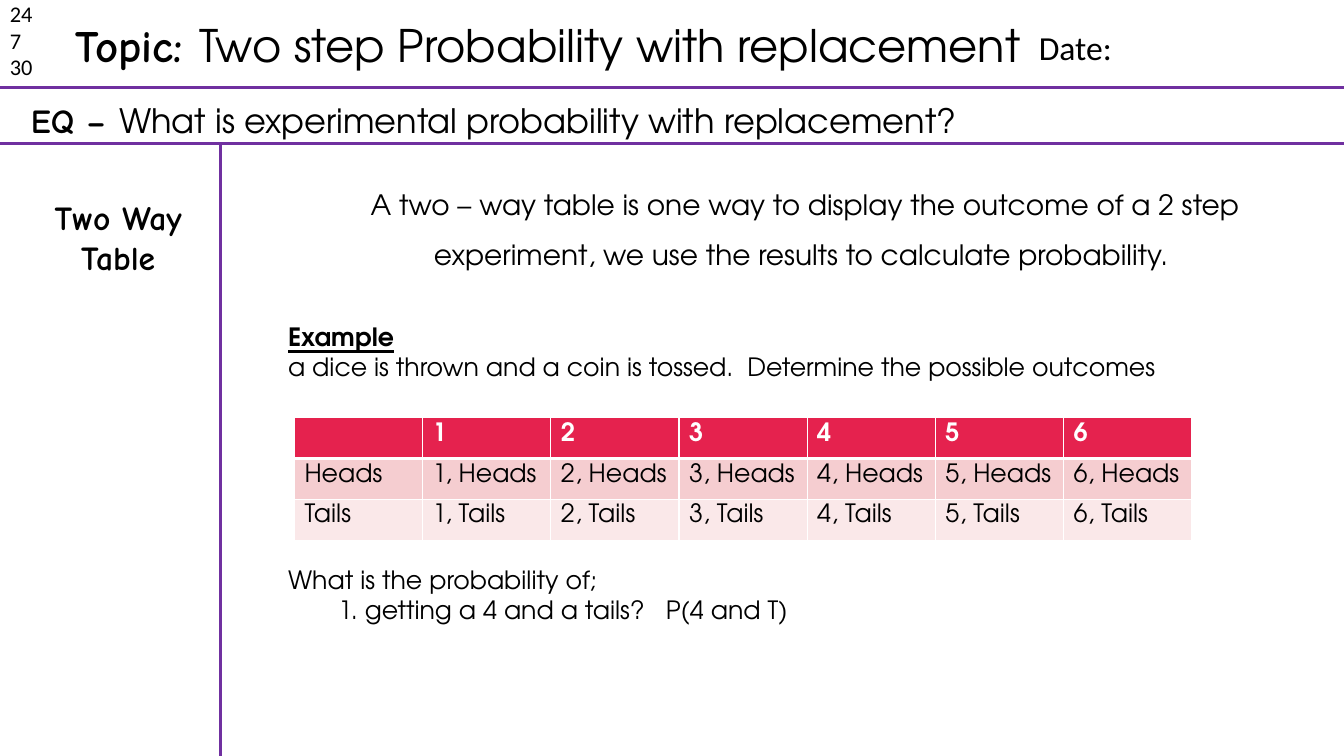
from lxml import etree
from pptx import Presentation
from pptx.dml.color import RGBColor
from pptx.enum import shapes, text
from pptx.oxml import ns
from pptx.util import Cm, Pt

COLOURS = {
    "ink": "000000", "rule": "7030A0", "white": "FFFFFF",
    "header": "E5224E", "heads": "F5CDD0", "tails": "FAE8E9",
}
HAND, ROUND, PLAIN = "Comic Neue", "TeX Gyre Adventor", "Calibri"
CENTRE = text.PP_ALIGN.CENTER

RULES = [
    (0, 2.21, 33.87, 2.21),
    (0, 3.61, 33.87, 3.61),
    (5.56, 3.66, 5.56, 19.05),
]

BOXES = [
    {"at": (0, -0.13, 1.6, 2.31), "paragraphs": [
        {"runs": [(number, PLAIN, 16, False)]} for number in ("24", "7", "30")]},
    {"at": (1.65, 0.33, 24.92, 1.62), "wrap": False, "paragraphs": [
        {"runs": [("Topic: ", HAND, 32, True),
                  ("Two step Probability with replacement", ROUND, 32, False)]}]},
    {"at": (25.93, 0.56, 6, 1.27), "paragraphs": [
        {"runs": [("Date:", PLAIN, 24, False)]}]},
    {"at": (0.53, 2.39, 29.46, 1.27), "paragraphs": [
        {"runs": [("EQ – ", HAND, 24, True),
                  ("What is experimental probability with replacement?", ROUND, 24, False)]}]},
    {"at": (0.2, 4.83, 5.56, 2.31), "paragraphs": [
        {"runs": [("Two Way Table", HAND, 24, True)], "align": CENTRE}]},
    {"at": (7.26, 4.29, 26.06, 12.32), "inset": 0, "paragraphs": [
        {"runs": [("A two – way table is one way to display the outcome of a 2 step "
                   "experiment, we use the results to calculate probability. ", ROUND, 20, False)],
         "align": CENTRE, "spacing": 1.5},
        {"runs": [("Example", ROUND, 18, True)], "before": 36, "underline": True},
        {"runs": [("a dice is thrown and a coin is tossed.  Determine the possible outcomes",
                   ROUND, 18, False)]},
        {"runs": [("What is the probability of;", ROUND, 18, False)], "before": 130},
        {"runs": [("1. getting a 4 and a tails?   P(4 and T)", ROUND, 18, False)], "indent": 1.27},
    ]},
]

DICE = [str(face) for face in range(1, 7)]
OUTCOMES = [("header", [""] + DICE)] + [
    (side.lower(), [side] + [f"{face}, {side}" for face in DICE]) for side in ("Heads", "Tails")]
TABLE_LEFT, TABLE_TOP, COLUMN_WIDTH, ROW_HEIGHT = 7.42, 10.52, 3.23, 1.03


def colour(name):
    return RGBColor.from_string(COLOURS[name])


def add_run(paragraph, words, font, size, bold, ink="ink", underline=False):
    run = paragraph.add_run()
    run.text = words
    run.font.name = font
    run.font.size = Pt(size)
    run.font.bold = bold
    run.font.underline = underline
    run.font.color.rgb = colour(ink)


def add_rule(slide, ends):
    line = slide.shapes.add_connector(shapes.MSO_CONNECTOR.STRAIGHT, *map(Cm, ends))
    line.line.color.rgb = colour("rule")
    line.line.width = Pt(2.25)
    etree.SubElement(line._element.spPr, ns.qn("a:effectLst"))


def add_box(slide, box):
    frame = slide.shapes.add_textbox(*map(Cm, box["at"])).text_frame
    frame.word_wrap = box.get("wrap", True)
    frame.auto_size = text.MSO_AUTO_SIZE.SHAPE_TO_FIT_TEXT
    if "inset" in box:
        frame.margin_left = frame.margin_right = Cm(box["inset"])
        frame.margin_top = frame.margin_bottom = Cm(box["inset"])
    for index, content in enumerate(box["paragraphs"]):
        paragraph = frame.add_paragraph() if index else frame.paragraphs[0]
        paragraph.alignment = content.get("align")
        paragraph.line_spacing = content.get("spacing")
        if "before" in content:
            paragraph.space_before = Pt(content["before"])
        if "indent" in content:
            paragraph._p.get_or_add_pPr().set("marL", str(Cm(content["indent"])))
        for run in content["runs"]:
            add_run(paragraph, *run, underline=content.get("underline", False))


def set_borders(cell, widths):
    properties = cell._tc.get_or_add_tcPr()
    for position, (side, width) in enumerate(widths.items()):
        border = etree.Element(ns.qn(f"a:ln{side}"), w=str(Pt(width)))
        fill = etree.SubElement(border, ns.qn("a:solidFill"))
        etree.SubElement(fill, ns.qn("a:srgbClr"), val=COLOURS["white"])
        properties.insert(position, border)


def add_outcomes(slide):
    rows, columns = len(OUTCOMES), len(OUTCOMES[0][1])
    table = slide.shapes.add_table(
        rows, columns, Cm(TABLE_LEFT), Cm(TABLE_TOP),
        Cm(COLUMN_WIDTH * columns), Cm(ROW_HEIGHT * rows)).table
    for column in table.columns:
        column.width = Cm(COLUMN_WIDTH)
    for row_index, (fill, entries) in enumerate(OUTCOMES):
        table.rows[row_index].height = Cm(ROW_HEIGHT)
        header = row_index == 0
        for column_index, entry in enumerate(entries):
            cell = table.cell(row_index, column_index)
            cell.fill.solid()
            cell.fill.fore_color.rgb = colour(fill)
            set_borders(cell, {"L": 1, "R": 1, "T": 3 if row_index == 1 else 1,
                               "B": 3 if header else 1})
            if entry:
                add_run(cell.text_frame.paragraphs[0], entry, ROUND, 18, header,
                        "white" if header else "ink")


def main():
    presentation = Presentation()
    presentation.slide_width, presentation.slide_height = Cm(33.87), Cm(19.05)
    slide = presentation.slides.add_slide(presentation.slide_layouts[6])
    for ends in RULES:
        add_rule(slide, ends)
    for box in BOXES:
        add_box(slide, box)
    add_outcomes(slide)
    presentation.save("out.pptx")


if __name__ == "__main__":
    main()
